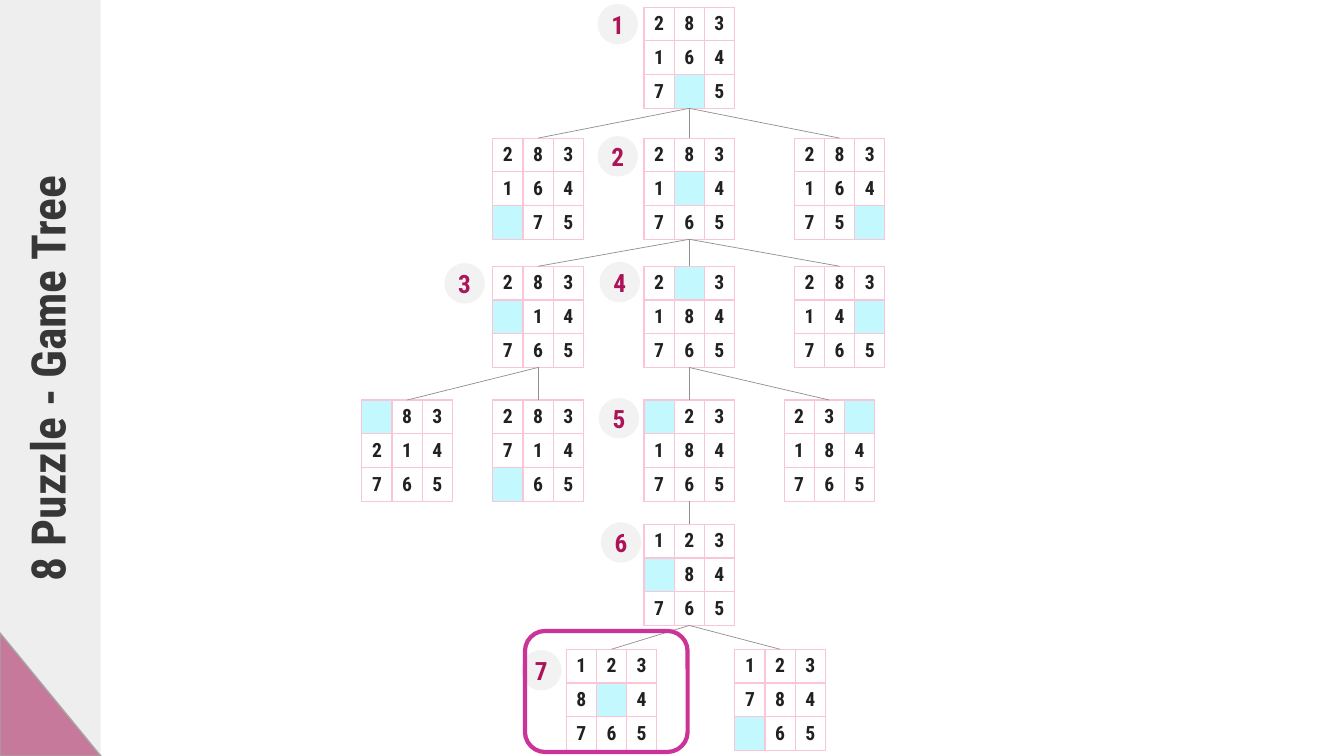
from lxml.etree import SubElement
from pptx import Presentation
from pptx.dml.color import RGBColor
from pptx.enum.shapes import MSO_CONNECTOR as Link, MSO_SHAPE as Form
from pptx.enum.text import MSO_ANCHOR as Anchor, PP_ALIGN as Align
from pptx.oxml.ns import qn
from pptx.util import Cm, Pt

TITLE = "8 Puzzle - Game Tree"
FONT = "Roboto Condensed"
COLORS = {
    "accent": "AD1457", "outline": "6B6B6B", "sidebar": "DFDFDF", "title": "373737",
    "digit": "212121", "grid": "F9C5D7", "blank": "C3F8FF", "branch": "909090",
    "badge": "F2F2F2", "goal": "CC3399",
}
LEVEL_TOPS = [0.18, 3.48, 6.71, 10.08, 13.21, 16.36]
# name: (level, left, parent, tiles)
BOARDS = {
    "start": (0, 16.23, None, "283 164 7_5"),
    "blank left": (1, 12.42, "start", "283 164 _75"),
    "blank up": (1, 16.23, "start", "283 1_4 765"),
    "blank right": (1, 20.02, "start", "283 164 75_"),
    "up left": (2, 12.42, "blank up", "283 _14 765"),
    "up up": (2, 16.23, "blank up", "2_3 184 765"),
    "up right": (2, 20.02, "blank up", "283 14_ 765"),
    "left up": (3, 9.12, "up left", "_83 214 765"),
    "left down": (3, 12.42, "up left", "283 714 _65"),
    "top left": (3, 16.23, "up up", "_23 184 765"),
    "top right": (3, 19.76, "up up", "23_ 184 765"),
    "corner down": (4, 16.23, "top left", "123 _84 765"),
    "goal": (5, 14.27, "corner down", "123 8_4 765"),
    "past goal": (5, 18.52, "corner down", "123 784 _65"),
}
STEP_PLACES = [(15.06, 0.1), (15.06, 3.43), (11.2, 6.63), (15.11, 6.6),
               (15.09, 10.03), (15.14, 13.16), (13.13, 16.38)]
TILE_WIDTH, TILE_HEIGHT, BADGE = 0.76, 0.85, 1.02


def color(name):
    return RGBColor.from_string(COLORS[name])


def write(frame, text, *, size, ink, spacing=None):
    paragraph = frame.paragraphs[0]
    paragraph.alignment = Align.CENTER
    paragraph.line_spacing = spacing
    run = paragraph.add_run()
    run.text = text
    run.font.name, run.font.size, run.font.bold = FONT, Pt(size), True
    run.font.color.rgb = color(ink)


def set_margins(holder, across=0, down=0):
    holder.margin_left = holder.margin_right = Cm(across)
    holder.margin_top = holder.margin_bottom = Cm(down)
    holder.vertical_anchor = Anchor.MIDDLE


def add_form(slide, form, left, top, width, height, fill=None, line=None, weight=1):
    shape = slide.shapes.add_shape(form, Cm(left), Cm(top), Cm(width), Cm(height))
    shape.shadow.inherit = False
    if fill:
        shape.fill.solid()
        shape.fill.fore_color.rgb = color(fill)
    else:
        shape.fill.background()
    if line:
        shape.line.color.rgb = color(line)
        shape.line.width = Pt(weight)
    else:
        shape.line.fill.background()
    return shape


def add_border(cell):
    properties = cell._tc.get_or_add_tcPr()
    for position, side in enumerate(("a:lnL", "a:lnR", "a:lnT", "a:lnB")):
        edge = properties.makeelement(qn(side), {"w": str(Pt(1))})
        properties.insert(position, edge)
        SubElement(SubElement(edge, qn("a:solidFill")), qn("a:srgbClr"), val=COLORS["grid"])


def add_board(slide, left, top, tiles):
    board = slide.shapes.add_table(3, 3, Cm(left), Cm(top),
                                   Cm(3 * TILE_WIDTH), Cm(3 * TILE_HEIGHT)).table
    board.first_row = board.horz_banding = False
    for column in board.columns:
        column.width = Cm(TILE_WIDTH)
    for row, digits in enumerate(tiles.split()):
        board.rows[row].height = Cm(TILE_HEIGHT)
        for column, digit in enumerate(digits):
            cell = board.cell(row, column)
            set_margins(cell)
            if digit == "_":
                cell.fill.solid()
                cell.fill.fore_color.rgb = color("blank")
            else:
                cell.fill.background()
                write(cell.text_frame, digit, size=14, ink="digit")
            add_border(cell)


def add_branch(slide, parent, child):
    ends = []
    for (level, left, *_), drop in ((parent, 3 * TILE_HEIGHT), (child, 0)):
        ends += [Cm(left + 1.5 * TILE_WIDTH), Cm(LEVEL_TOPS[level] + drop)]
    branch = slide.shapes.add_connector(Link.STRAIGHT, *ends)
    branch.line.color.rgb = color("branch")
    branch.line.width = Pt(0.5)
    SubElement(branch._element.spPr, qn("a:effectLst"))


def main():
    """Build the 8 puzzle game tree slide."""
    deck = Presentation()
    deck.slide_width, deck.slide_height = Cm(33.87), Cm(19.05)
    slide = deck.slides.add_slide(deck.slide_layouts[6])

    add_form(slide, Form.RIGHT_TRIANGLE, 0, 15.95, 2.54, 3.1, "accent", "outline")
    sidebar = add_form(slide, Form.RECTANGLE, -8.26, 8.26, 19.05, 2.54, "sidebar")
    sidebar.rotation = 270
    tint = sidebar._element.spPr.find(qn("a:solidFill")).find(qn("a:srgbClr"))
    SubElement(tint, qn("a:alpha"), val="50000")
    set_margins(sidebar.text_frame, 0.61, 0.3)
    write(sidebar.text_frame, TITLE, size=34, ink="title", spacing=0.9)

    for level, left, _, tiles in BOARDS.values():
        add_board(slide, left, LEVEL_TOPS[level], tiles)
    for board in BOARDS.values():
        if board[2]:
            add_branch(slide, BOARDS[board[2]], board)

    for step, (left, top) in enumerate(STEP_PLACES, 1):
        badge = add_form(slide, Form.OVAL, left, top, BADGE, BADGE, "badge")
        set_margins(badge.text_frame)
        write(badge.text_frame, str(step), size=18, ink="accent")
    add_form(slide, Form.ROUNDED_RECTANGLE, 13.23, 15.9, 4.1, 3.05, line="goal", weight=3)

    deck.save("out.pptx")


if __name__ == "__main__":
    main()
